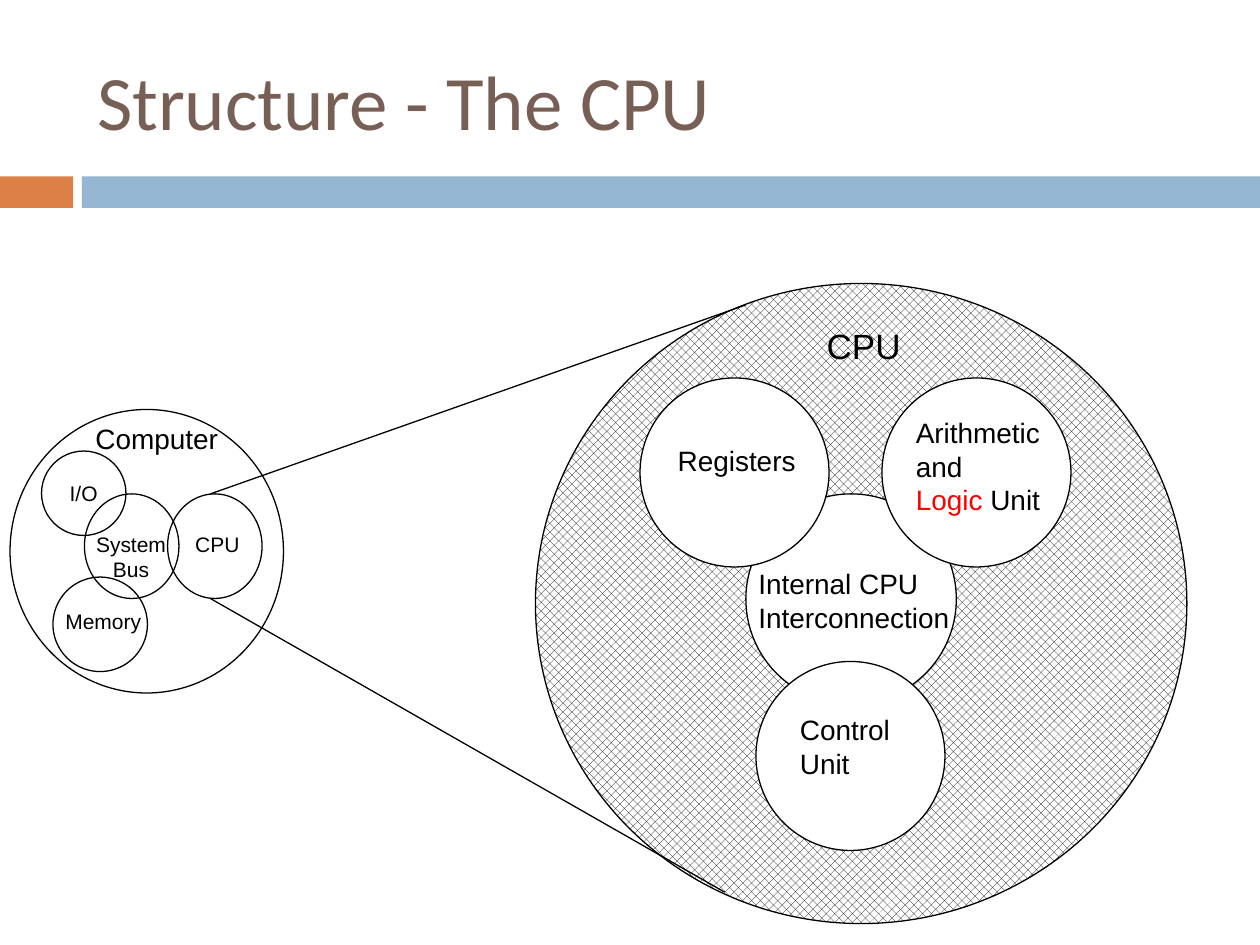
"""Build the slide on the structure of the CPU."""
from dataclasses import dataclass

from lxml import etree
from pptx import Presentation
from pptx.dml.color import RGBColor
from pptx.enum.dml import MSO_PATTERN
from pptx.enum.shapes import MSO_CONNECTOR, MSO_SHAPE
from pptx.enum.text import MSO_ANCHOR, MSO_AUTO_SIZE, PP_ALIGN
from pptx.oxml.ns import qn
from pptx.util import Inches, Pt

OVAL, RECT = MSO_SHAPE.OVAL, MSO_SHAPE.RECTANGLE
LINE = MSO_CONNECTOR.STRAIGHT
HATCH = MSO_PATTERN.PERCENT_50
LEFT, MID = PP_ALIGN.LEFT, PP_ALIGN.CENTER
TOP, CENTER = MSO_ANCHOR.TOP, MSO_ANCHOR.MIDDLE
GROW = MSO_AUTO_SIZE.SHAPE_TO_FIT_TEXT
TITLE_ONLY = 5
COLORS = {"ink": "000000", "paper": "FFFFFF", "red": "FF0000",
          "title": "775F55", "orange": "DD8047", "blue": "94B6D2"}


@dataclass
class Box:
    left: float
    top: float
    width: float
    height: float

    def lengths(self) -> list:
        return [Inches(n) for n in (self.left, self.top, self.width, self.height)]


@dataclass
class Disc:
    box: Box
    fill: str = ""
    text: str = ""


@dataclass
class Label:
    text: str
    box: Box
    size: int = 16
    centered: bool = False


@dataclass
class Ray:
    start: tuple
    end: tuple


BANDS = [Disc(Box(0, 1.4, 0.58, 0.25), "orange"),
         Disc(Box(0.65, 1.4, 9.35, 0.25), "blue")]
LARGE = [
    Disc(Box(4.25, 2.25, 5.17, 5.08), "hatch"),
    Disc(Box(5.92, 3.92, 1.67, 1.67), "paper"),
    Disc(Box(5.08, 3, 1.5, 1.5), "paper"),
    Disc(Box(0.08, 3.25, 2.17, 2.25)),
    Disc(Box(7, 3, 1.5, 1.5), "paper"),
    Disc(Box(6, 5.25, 1.5, 1.5), "paper"),
]
RAYS = [Ray((1.67, 3.92), (5.92, 2.42)), Ray((1.67, 4.75), (5.75, 7.08))]
SMALL = [
    Disc(Box(1.33, 3.92, 0.75, 0.83)),
    Disc(Box(0.33, 3.58, 0.67, 0.67), text="I/O"),
    Disc(Box(0.42, 4.58, 0.75, 0.75)),
    Disc(Box(0.67, 3.92, 0.75, 0.83)),
]
LOGIC = Label("Arithmetic\nand\nLogic", Box(7.17, 3.25, 1.22, 0.9))
LABELS = [
    Label("Computer", Box(0.66, 3.3, 1.2, 0.37)),
    Label("Control\nUnit", Box(6.25, 5.61, 0.98, 0.64)),
    Label("Internal CPU\nInterconnection", Box(5.92, 4.45, 1.75, 0.64)),
    Label("Registers", Box(5.28, 3.47, 1.18, 0.37)),
    Label("CPU", Box(1.43, 4.17, 0.59, 0.3), 12, True),
    Label("Memory", Box(0.39, 4.78, 0.86, 0.3), 12, True),
    Label("System\nBus", Box(0.63, 4.17, 0.82, 0.5), 12, True),
    Label("CPU", Box(6.44, 2.53, 0.83, 0.43), 20, True),
]


def color(name: str) -> RGBColor:
    return RGBColor.from_string(COLORS[name])


def style(run, size: int, tint: str = "ink", face: str = "Arial") -> None:
    run.font.name = face
    run.font.size = Pt(size)
    run.font.color.rgb = color(tint)


def write(frame, text: str, size: int, centered: bool) -> None:
    frame.text = text
    frame.word_wrap = False
    frame.vertical_anchor = CENTER if centered else TOP
    for para in frame.paragraphs:
        para.alignment = MID if centered else LEFT
        for run in para.runs:
            style(run, size)


def edge(line) -> None:
    line.color.rgb = color("ink")
    line.width = Pt(0.75)


def draw_band(slide, band: Disc) -> None:
    shape = slide.shapes.add_shape(RECT, *band.box.lengths())
    shape.shadow.inherit = False
    shape.fill.solid()
    shape.fill.fore_color.rgb = color(band.fill)
    shape.line.fill.background()


def draw_disc(slide, disc: Disc) -> None:
    shape = slide.shapes.add_shape(OVAL, *disc.box.lengths())
    shape.shadow.inherit = False
    edge(shape.line)
    if disc.fill == "hatch":
        shape.fill.patterned()
        shape.fill.pattern = HATCH
        shape.fill.fore_color.rgb = color("ink")
        shape.fill.back_color.rgb = color("paper")
    elif disc.fill:
        shape.fill.solid()
        shape.fill.fore_color.rgb = color(disc.fill)
    else:
        shape.fill.background()
    if disc.text:
        write(shape.text_frame, disc.text, 12, True)


def draw_ray(slide, ray: Ray) -> None:
    ends = [Inches(n) for n in ray.start + ray.end]
    line = slide.shapes.add_connector(LINE, *ends)
    edge(line.line)
    etree.SubElement(line._element.spPr, qn("a:effectLst"))


def draw_label(slide, label: Label):
    frame = slide.shapes.add_textbox(*label.box.lengths()).text_frame
    write(frame, label.text, label.size, label.centered)
    frame.auto_size = GROW
    return frame


def draw_title(slide) -> None:
    title = slide.shapes.title
    title.left, title.top, title.width, title.height = Box(0.67, 0.25, 8.92, 1.08).lengths()
    frame = title.text_frame
    frame.text = "Structure - The CPU"
    frame.vertical_anchor = CENTER
    frame.paragraphs[0].alignment = LEFT
    style(frame.paragraphs[0].runs[0], 44, "title", "Calibri")


def main() -> None:
    deck = Presentation()
    deck.slide_width, deck.slide_height = Inches(10), Inches(7.5)
    slide = deck.slides.add_slide(deck.slide_layouts[TITLE_ONLY])
    draw_title(slide)
    for band in BANDS:
        draw_band(slide, band)
    for disc in LARGE:
        draw_disc(slide, disc)
    for ray in RAYS:
        draw_ray(slide, ray)
    for disc in SMALL:
        draw_disc(slide, disc)
    for label in LABELS:
        draw_label(slide, label)
    last = draw_label(slide, LOGIC).paragraphs[-1]
    style(last.runs[0], LOGIC.size, "red")
    unit = last.add_run()
    unit.text = " Unit"
    style(unit, LOGIC.size)
    deck.save("out.pptx")


if __name__ == "__main__":
    main()
